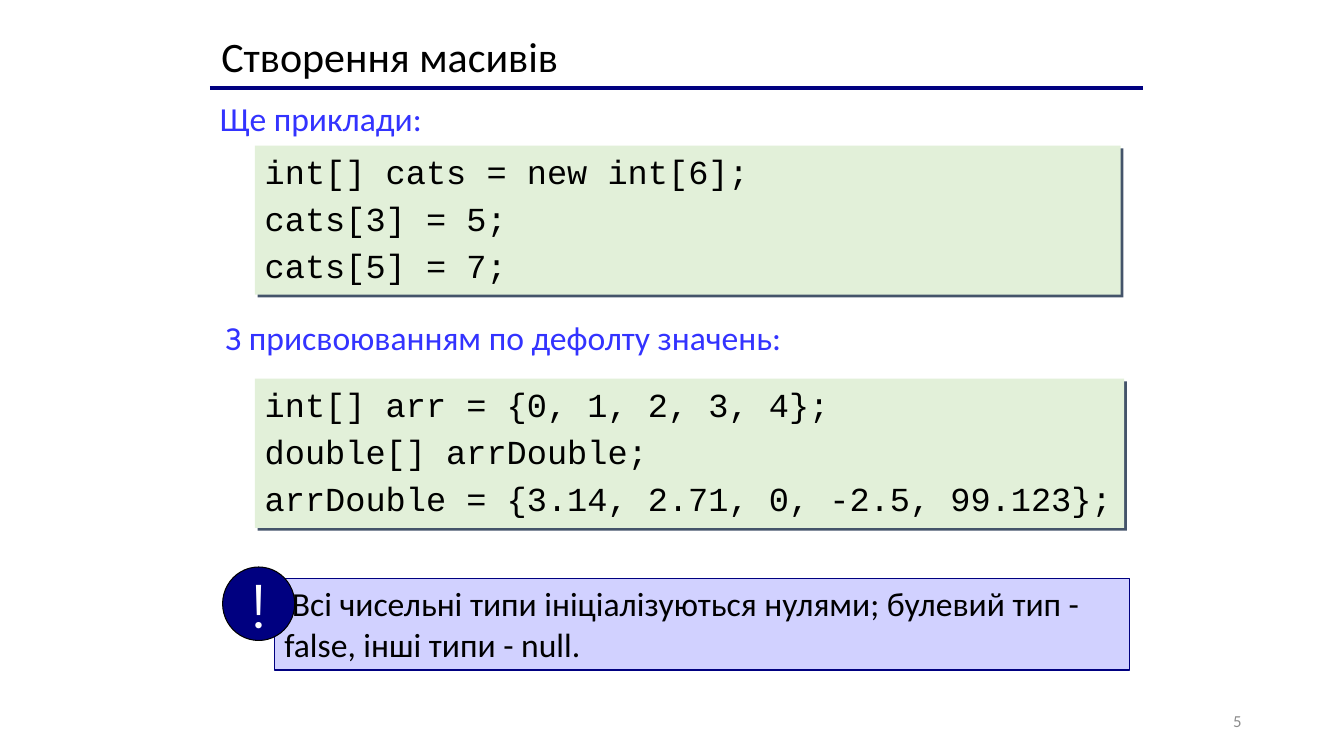
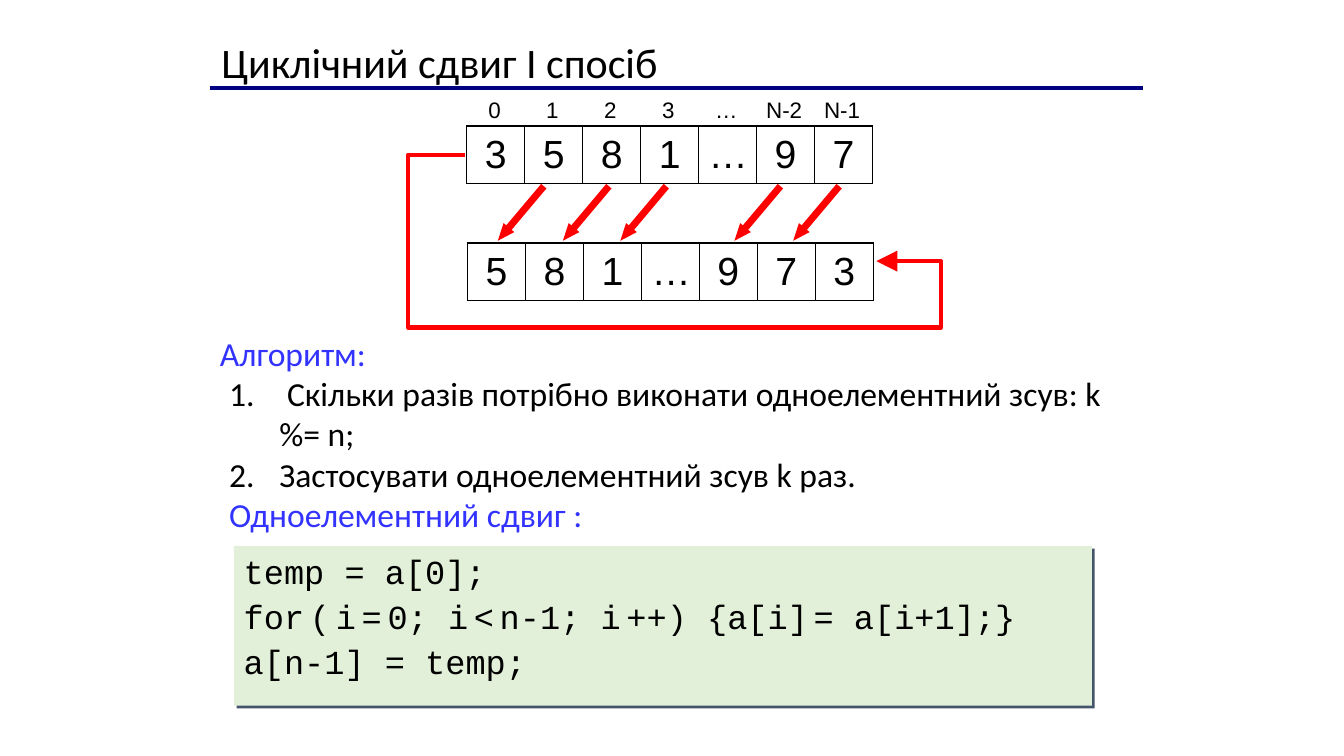
import pptx
import pptx.dml.color
import pptx.enum.shapes
import pptx.enum.text
import pptx.oxml
import pptx.oxml.ns
import pptx.util

Pt = pptx.util.Pt
SHAPE = pptx.enum.shapes.MSO_SHAPE
ALIGN = pptx.enum.text.PP_ALIGN
TOP = pptx.enum.text.MSO_ANCHOR.TOP
MIDDLE = pptx.enum.text.MSO_ANCHOR.MIDDLE

NAVY, BLUE, BLACK, WHITE = "000080", "3333FF", "000000", "FFFFFF"
RED, GREEN, LILAC, GRAY, SLATE = "FF0000", "E2F0D9", "D1D1FF", "8C8C8C", "44546A"

TITLE = {"name": "Calibri", "size": Pt(30), "color": BLACK}
BODY = {"name": "Calibri", "size": Pt(24), "color": BLACK}
HEADING = BODY | {"color": BLUE}
CODE = BODY | {"name": "Courier New"}
NARROW = BODY | {"size": Pt(18)}
NUMBER = {"name": "Calibri", "size": Pt(12), "color": GRAY}
MARK = {"name": "Montserrat", "size": Pt(44), "color": WHITE}
VALUE = {"name": "Arial", "size": Pt(28), "color": BLACK}
INDEX = VALUE | {"size": Pt(16)}

NO_STYLE_TABLE = "{2D5ABB26-0587-4C30-8999-92F81FD0307C}"
COLUMN_WIDTH = 41.4
NUMBERED_MARGIN, NUMBERED_INDENT = 42.5, -36


def rgb(color):
    """Turn a hex string into a colour."""
    return pptx.dml.color.RGBColor.from_string(color)


def apply_format(target, values):
    """Set each attribute of the target from a dict."""
    for name, value in values.items():
        if name == "color":
            target.color.rgb = rgb(value)
        else:
            setattr(target, name, value)


def add_xml(parent, tag, content="", **attributes):
    """Append a drawing element to the parent."""
    values = " ".join(f'{name}="{value}"' for name, value in attributes.items())
    namespace = pptx.oxml.ns.nsdecls("a")
    parent.append(pptx.oxml.parse_xml(f"<a:{tag} {namespace} {values}>{content}</a:{tag}>"))


def add_spans(para, spans):
    """Add (text, style) spans to a paragraph."""
    for text, style in spans:
        span = para.add_run()
        span.text = text
        apply_format(span.font, style)


def fill_text(frame, paragraphs, gap=0, **options):
    """Write a list of span lists into a text frame."""
    align = options.pop("align", ALIGN.LEFT)
    apply_format(frame, {"word_wrap": True} | options)
    for position, spans in enumerate(paragraphs):
        para = frame.add_paragraph() if position else frame.paragraphs[0]
        para.alignment = align
        para.space_before = Pt(gap if position else 0)
        add_spans(para, spans)


def add_text(page, area, paragraphs, **options):
    """Add a text box."""
    box = page.shapes.add_textbox(*map(Pt, area))
    fill_text(box.text_frame, paragraphs, **options)
    return box


def add_box(page, kind, area, fill, line=None, width=1):
    """Add a filled preset shape with no shadow."""
    box = page.shapes.add_shape(kind, *map(Pt, area))
    box.shadow.inherit = False
    box.fill.solid()
    box.fill.fore_color.rgb = rgb(fill)
    if line:
        apply_format(box.line, {"color": line, "width": Pt(width)})
    else:
        box.line.fill.background()
    return box


def add_code(page, area, lines, gap):
    """Add a code panel with a hard shadow; pieces of a line get narrow gaps."""
    box = add_box(page, SHAPE.RECTANGLE, area, GREEN)
    effects = box._element.spPr.find(pptx.oxml.ns.qn("a:effectLst"))
    add_xml(effects, "outerShdw", f'<a:srgbClr val="{SLATE}"/>', blurRad=0,
            dist=Pt(2.8), dir=2700000, algn="ctr", rotWithShape=0)
    paragraphs = []
    for pieces in lines:
        spans = [(pieces[0], CODE)]
        for piece in pieces[1:]:
            spans += [(" ", NARROW), (piece, CODE)]
        paragraphs.append(spans)
    fill_text(box.text_frame, paragraphs, gap, vertical_anchor=TOP)


def add_row(page, left, top, height, texts, style, bordered=True):
    """Add a one-row table of array cells."""
    frame = page.shapes.add_table(1, len(texts), Pt(left), Pt(top),
                                  Pt(COLUMN_WIDTH * len(texts)), Pt(height))
    table = frame.table
    apply_format(table, {"first_row": False, "horz_banding": False})
    table._tbl.tblPr.find(pptx.oxml.ns.qn("a:tableStyleId")).text = NO_STYLE_TABLE
    table.rows[0].height = Pt(height)
    for column, text in enumerate(texts):
        table.columns[column].width = Pt(COLUMN_WIDTH)
        cell = table.cell(0, column)
        cell.vertical_anchor = MIDDLE
        if bordered:
            paint = f'<a:solidFill><a:srgbClr val="{BLACK}"/></a:solidFill>'
            for side in ("lnL", "lnR", "lnT", "lnB"):
                add_xml(cell._tc.get_or_add_tcPr(), side, paint, w=Pt(1))
        cell.fill.background()
        para = cell.text_frame.paragraphs[0]
        para.alignment = ALIGN.CENTER
        add_spans(para, [(text, style)])


def add_shift_arrow(page, left):
    """Add a slanted arrow between the two arrays."""
    arrow = add_box(page, SHAPE.RIGHT_ARROW, (left, 147.5, 51, 10), RED)
    arrow.rotation = 130.1
    arrow.adjustments[0], arrow.adjustments[1] = 0.5, 1.23


def add_route(page, points):
    """Add an open red polyline that ends in an arrowhead."""
    corners = [(Pt(x), Pt(y)) for x, y in points]
    builder = page.shapes.build_freeform(*corners[0], scale=1.0)
    builder.add_line_segments(corners[1:], close=False)
    route = builder.convert_to_shape()
    route.shadow.inherit = False
    route.fill.background()
    apply_format(route.line, {"color": RED, "width": Pt(3)})
    add_xml(route.line._get_or_add_ln(), "tailEnd", type="triangle", w="lg", len="lg")


def add_page(deck, title, title_top):
    """Add a page with the shared title and rule."""
    page = deck.slides.add_slide(deck.slide_layouts[6])
    rule = page.shapes.add_connector(pptx.enum.shapes.MSO_CONNECTOR.STRAIGHT,
                                     Pt(150), Pt(62.8), Pt(816.5), Pt(62.8))
    apply_format(rule.line, {"color": NAVY, "width": Pt(3)})
    add_xml(rule._element.spPr, "effectLst")
    add_text(page, (151, title_top, 641, 43), [[(title, TITLE)]])
    return page


def build_creation(deck):
    """Build the page on creating arrays."""
    page = add_page(deck, "Створення масивів", 18.5)
    add_text(page, (678, 500.5, 216, 29), [[("5", NUMBER)]],
             align=ALIGN.RIGHT, vertical_anchor=MIDDLE)
    add_text(page, (150, 66.5, 233, 36), [[("Ще приклади:", HEADING)]])
    add_code(page, (182, 104, 618.5, 106.5),
             [("int[] cats = new int[6];",), ("cats[3] = 5;",), ("cats[5] = 7;",)], 4.8)
    add_text(page, (154, 222.5, 662, 36),
             [[("З присвоюванням по дефолту значень:", HEADING)]])
    add_code(page, (182, 270.5, 621, 106.5),
             [("int[] arr = {0, 1, 2, 3, 4};",), ("double[] arrDouble;",),
              ("arrDouble = {3.14, 2.71, 0, -2.5, 99.123};",)], 4.8)
    note = add_box(page, SHAPE.RECTANGLE, (196, 413, 611, 65.5), LILAC, NAVY)
    fill_text(note.text_frame,
              [[(" Всі чисельні типи ініціалізуються нулями; булевий тип - "
                 "false, інші типи - null.", BODY)]], vertical_anchor=TOP)
    badge = add_box(page, SHAPE.OVAL, (159, 405, 51.5, 52.5), NAVY, BLACK, 0.75)
    fill_text(badge.text_frame, [[("!", MARK)]], align=ALIGN.CENTER,
              vertical_anchor=MIDDLE, word_wrap=False)


def build_shift(deck):
    """Build the page on the cyclic shift."""
    page = add_page(deck, "Циклічний сдвиг I спосіб", 22.5)
    steps = add_text(page, (150, 234, 663, 153), [
        [("Алгоритм:", HEADING)],
        [(" Скільки разів потрібно виконати одноелементний зсув: k %= n;", BODY)],
        [("Застосувати одноелементний зсув k раз.", BODY)],
        [("Одноелементний сдвиг :", HEADING)]])
    paragraphs = steps.text_frame.paragraphs
    for para in paragraphs[1:3]:
        properties = para._p.get_or_add_pPr()
        properties.set("marL", str(Pt(NUMBERED_MARGIN)))
        properties.set("indent", str(Pt(NUMBERED_INDENT)))
        add_xml(properties, "buAutoNum", type="arabicPeriod")
    paragraphs[3]._p.get_or_add_pPr().set("marL", str(Pt(NUMBERED_MARGIN + NUMBERED_INDENT)))
    values = ["3", "5", "8", "1", "…", "9", "7"]
    add_row(page, 333.5, 90, 41, values, VALUE)
    add_row(page, 332.5, 66, 26.5, ["0", "1", "2", "3", "…", "N-2", "N-1"], INDEX, False)
    add_row(page, 334, 173.5, 41, values[1:] + values[:1], VALUE)
    for left in (346.5, 393, 434, 515.5, 557.5):
        add_shift_arrow(page, left)
    add_route(page, [(332.5, 110.5), (291.5, 110.5), (291.5, 234),
                     (672, 234), (672, 186.5), (626, 186.5)])
    loop = ("for", "(", "i", "=", "0; i", "<", "n-1; i", "++) {a[i]", "= a[i+1];}")
    add_code(page, (167, 390, 613, 114),
             [("temp = a[0];",), loop, ("a[n-1] = temp;",)], 3.5)


def main():
    """Build and save the deck."""
    deck = pptx.Presentation()
    apply_format(deck, {"slide_width": Pt(960), "slide_height": Pt(540)})
    build_creation(deck)
    build_shift(deck)
    deck.save("out.pptx")


if __name__ == "__main__":
    main()
